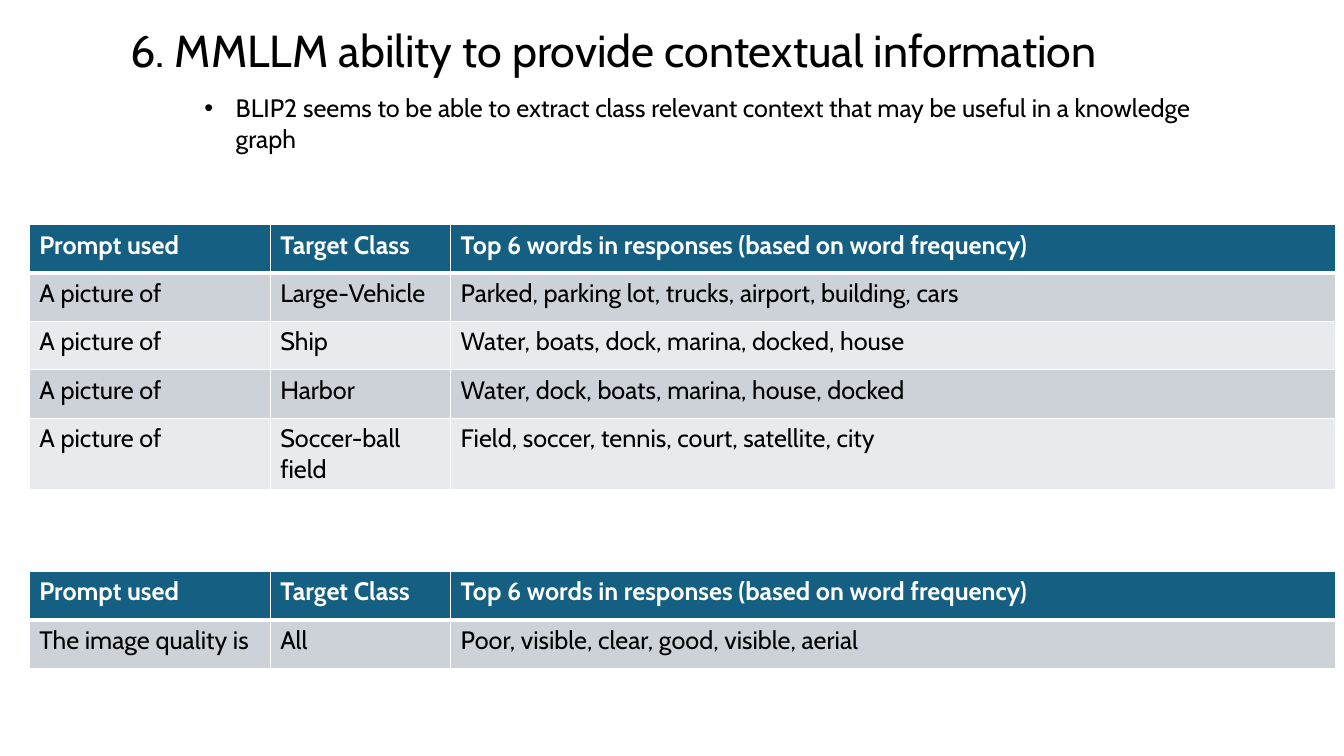
from lxml import etree
from pptx import Presentation
from pptx import util as u
from pptx.dml import color
from pptx.enum import text
from pptx.oxml import ns

WIDTH, HEIGHT = 13.33, 7.5
FONT = "Cabin"
TABLE_LEFT = 0.29
COLUMNS = (2.39, 1.79, 8.78)
ROW_HEIGHT = 0.48
HEADER = ("Prompt used", "Target Class", "Top 6 words in responses (based on word frequency)")
CLASS_ROWS = (
    ("A picture of", "Large-Vehicle", "Parked, parking lot, trucks, airport, building, cars"),
    ("A picture of", "Ship", "Water, boats, dock, marina, docked, house"),
    ("A picture of", "Harbor", "Water, dock, boats, marina, house, docked"),
    ("A picture of", "Soccer-ball field", "Field, soccer, tennis, court, satellite, city"),
)
QUALITY_ROWS = (("The image quality is", "All", "Poor, visible, clear, good, visible, aerial"),)
HEADER_FILL = "156082"
BAND_FILLS = ("CCD2D8", "E8EAED")


def rgb(value):
    return color.RGBColor.from_string(value)


def write(frame, words, size, ink="000000", bold=False):
    frame.text = words
    span = frame.paragraphs[0].runs[0]
    span.font.name = FONT
    span.font.size = u.Pt(size)
    span.font.bold = bold
    span.font.color.rgb = rgb(ink)


def place(box, left, top, width, height):
    box.left, box.top = u.Inches(left), u.Inches(top)
    box.width, box.height = u.Inches(width), u.Inches(height)


def add_title(page, words):
    title = page.shapes.title
    place(title, 0.92, 0.21, 10.33, 0.61)
    write(title.text_frame, words, 32)
    title.text_frame.auto_size = text.MSO_AUTO_SIZE.NONE
    title.text_frame.vertical_anchor = text.MSO_ANCHOR.BOTTOM
    para = title.text_frame.paragraphs[0]
    para.alignment = text.PP_ALIGN.CENTER
    para.line_spacing = 0.9


def add_bullet(page, words):
    box = page.shapes.add_textbox(0, 0, 0, 0)
    place(box, 1.93, 0.87, 10.33, 0.71)
    frame = box.text_frame
    frame.word_wrap = True
    write(frame, words, 18)
    properties = frame.paragraphs[0]._p.get_or_add_pPr()
    indent = u.Inches(0.31)
    properties.set("marL", str(indent))
    properties.set("indent", str(-indent))
    etree.SubElement(properties, ns.qn("a:buFont"), typeface="Arial")
    etree.SubElement(properties, ns.qn("a:buChar"), char="•")


def add_borders(cell, bottom_width):
    properties = cell._tc.get_or_add_tcPr()
    widths = {"lnL": 1, "lnR": 1, "lnT": 1, "lnB": bottom_width}
    for position, (side, width) in enumerate(widths.items()):
        line = etree.Element(ns.qn("a:" + side), w=str(u.Pt(width)))
        fill = etree.SubElement(line, ns.qn("a:solidFill"))
        etree.SubElement(fill, ns.qn("a:srgbClr"), val="FFFFFF")
        properties.insert(position, line)


def add_word_table(page, top, body):
    rows = (HEADER, *body)
    table = page.shapes.add_table(
        len(rows), len(COLUMNS), u.Inches(TABLE_LEFT), u.Inches(top),
        u.Inches(sum(COLUMNS)), u.Inches(ROW_HEIGHT * len(rows))).table
    for column, width in zip(table.columns, COLUMNS):
        column.width = u.Inches(width)
    for index, row in enumerate(rows):
        heading = index == 0
        table.rows[index].height = u.Inches(ROW_HEIGHT)
        for cell, words in zip(table.rows[index].cells, row):
            write(cell.text_frame, words, 18, "FFFFFF" if heading else "000000", heading)
            cell.fill.solid()
            cell.fill.fore_color.rgb = rgb(HEADER_FILL if heading else BAND_FILLS[(index - 1) % 2])
            add_borders(cell, 3 if heading else 1)


def main():
    deck = Presentation()
    deck.slide_width, deck.slide_height = u.Inches(WIDTH), u.Inches(HEIGHT)
    page = deck.slides.add_slide(deck.slide_layouts[5])
    add_title(page, "6. MMLLM ability to provide contextual information")
    add_word_table(page, 2.23, CLASS_ROWS)
    add_word_table(page, 5.67, QUALITY_ROWS)
    add_bullet(page, "BLIP2 seems to be able to extract class relevant context "
                     "that may be useful in a knowledge graph")
    deck.save("out.pptx")


if __name__ == "__main__":
    main()
